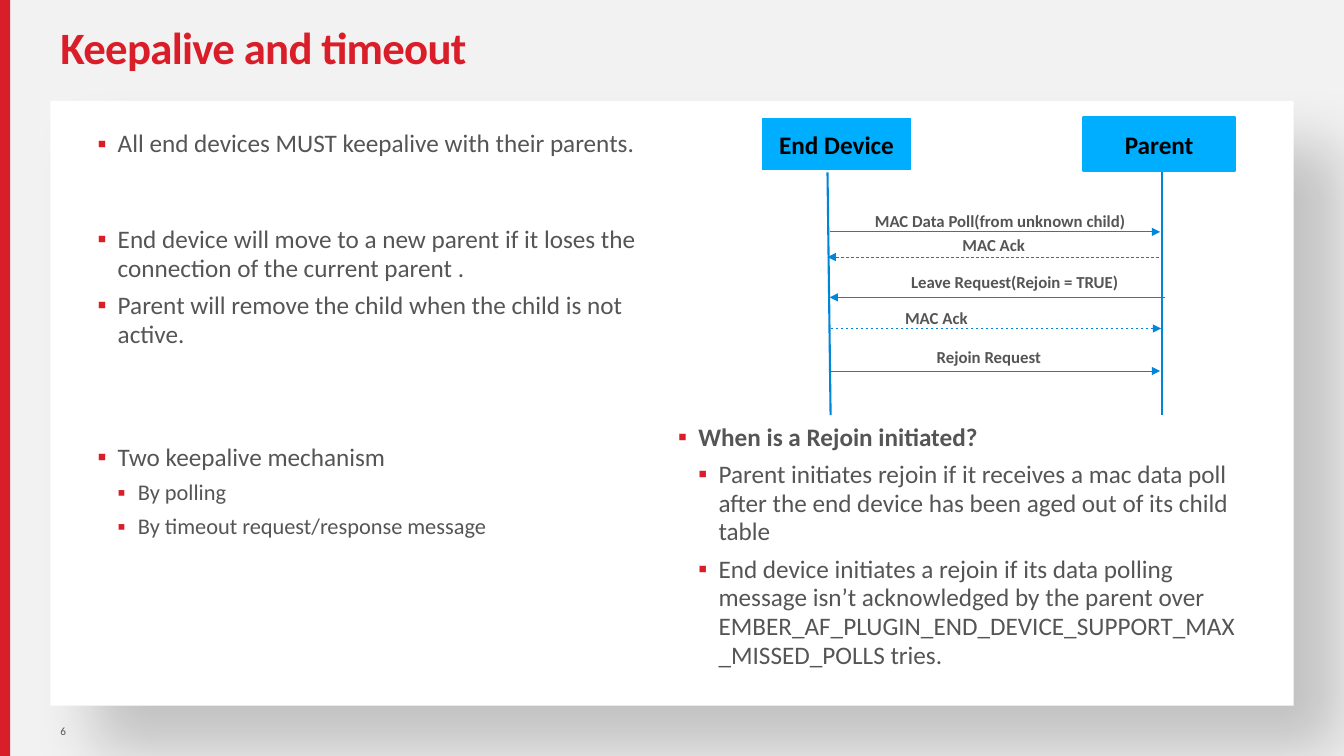
from dataclasses import dataclass

from lxml import etree
from pptx import Presentation
from pptx.dml.color import RGBColor
from pptx.enum import dml, shapes, text
from pptx.oxml import ns
from pptx.util import Pt

RED = RGBColor(0xD9, 0x1E, 0x2A)
GREY = RGBColor(0x55, 0x55, 0x55)
BLUE = RGBColor(0x00, 0x86, 0xD9)
SKY = RGBColor(0x00, 0xAE, 0xFF)
PALE = RGBColor(0xF2, 0xF2, 0xF2)
WHITE = RGBColor(0xFF, 0xFF, 0xFF)
BLACK = RGBColor(0x00, 0x00, 0x00)
FONT = "Calibri"


@dataclass
class Bullet:
    words: str
    level: int = 1
    size: float = 18
    bold: bool = False


@dataclass
class BulletBox:
    left: float
    top: float
    height: float
    bullets: list[Bullet]


@dataclass
class Actor:
    name: str
    left: float
    outline: RGBColor
    life_top_x: float
    life_end_x: float


@dataclass
class Message:
    label: str
    label_left: float
    label_top: float
    label_width: float
    start_x: float
    end_x: float
    y: float
    dashed: bool = False


BULLET_BOXES = [
    BulletBox(48.24, 89.3, 33, [
        Bullet("All end devices MUST keepalive with their parents."),
    ]),
    BulletBox(48.24, 157.7, 113, [
        Bullet("End device will move to a new parent if it loses the connection "
               "of the current parent ."),
        Bullet("Parent will remove the child when the child is not active."),
    ]),
    BulletBox(48.24, 313.2, 88.5, [
        Bullet("Two keepalive mechanism"),
        Bullet("By polling", 2, 16),
        Bullet("By timeout request/response message", 2, 16),
    ]),
    BulletBox(463, 298.8, 190.8, [
        Bullet("When is a Rejoin initiated?", bold=True),
        Bullet("Parent initiates rejoin if it receives a mac data poll after the "
               "end device has been aged out of its child table", 2),
        Bullet("End device initiates a rejoin if its data polling message isn’t "
               "acknowledged by the parent over "
               "EMBER_AF_PLUGIN_END_DEVICE_SUPPORT_MAX_MISSED_POLLS tries.", 2),
    ]),
]
ACTORS = [
    Actor("End Device", 543.6, WHITE, 591.1, 593.3),
    Actor("Parent", 774, SKY, 830.2, 830.2),
]
MESSAGES = [
    Message("MAC Data Poll(from unknown child)", 617.8, 146.9, 195.8, 592.6, 828.7, 165.6),
    Message("MAC Ack", 680.4, 164.2, 62.6, 828, 591.1, 183.6, True),
    Message("Leave Request(Rejoin = TRUE)", 643.7, 190.8, 164.9, 832.3, 592.6, 212.4),
    Message("MAC Ack", 639.4, 216, 62.6, 593.3, 829.4, 234.7, True),
    Message("Rejoin Request", 662, 244.1, 89, 592.6, 828.7, 265),
]


def add_run(p, words: str, size: float, color: RGBColor, bold: bool = False):
    r = p.add_run()
    r.text = words
    r.font.name = FONT
    r.font.size = Pt(size)
    r.font.bold = bold
    r.font.color.rgb = color
    return r


def add_box(s, left: float, top: float, width: float, height: float,
            wrap: bool = True, middle: bool = False):
    """Add an empty text box and return its text frame."""
    tf = s.shapes.add_textbox(Pt(left), Pt(top), Pt(width), Pt(height)).text_frame
    tf.word_wrap = wrap
    if middle:
        tf.vertical_anchor = text.MSO_ANCHOR.MIDDLE
    return tf


def add_rect(s, left: float, top: float, width: float, height: float, fill: RGBColor):
    sp = s.shapes.add_shape(shapes.MSO_SHAPE.RECTANGLE,
                            Pt(left), Pt(top), Pt(width), Pt(height))
    sp.shadow.inherit = False
    sp.fill.solid()
    sp.fill.fore_color.rgb = fill
    sp.line.fill.background()
    return sp


def add_soft_shadow(sp) -> None:
    effects = sp._element.spPr.find(ns.qn("a:effectLst"))
    shadow = etree.SubElement(effects, ns.qn("a:outerShdw"), blurRad=str(Pt(45)),
                              dist=str(Pt(45)), dir="2700000", algn="tl",
                              rotWithShape="0")
    color = etree.SubElement(shadow, ns.qn("a:srgbClr"), val=str(BLACK))
    etree.SubElement(color, ns.qn("a:alpha"), val="20000")


def add_line(s, x1: float, y1: float, x2: float, y2: float, width: float,
             dashed: bool = False, arrow: bool = False) -> None:
    line = s.shapes.add_connector(shapes.MSO_CONNECTOR.STRAIGHT,
                                  Pt(x1), Pt(y1), Pt(x2), Pt(y2))
    line.line.color.rgb = BLUE
    line.line.width = Pt(width)
    if dashed:
        line.line.dash_style = dml.MSO_LINE.DASH
    if arrow:
        etree.SubElement(line.line._get_or_add_ln(), ns.qn("a:tailEnd"), type="triangle")
    etree.SubElement(line._element.spPr, ns.qn("a:effectLst"))


def add_bullets(s, box: BulletBox) -> None:
    tf = add_box(s, box.left, box.top, 434.9, box.height)
    for i, bullet in enumerate(box.bullets):
        p = tf.add_paragraph() if i else tf.paragraphs[0]
        p.level = bullet.level
        p.line_spacing = 0.95
        p.space_before = Pt(6)
        pPr = p._p.get_or_add_pPr()
        pPr.set("marL", str(Pt(14.4 * (bullet.level + 1))))
        pPr.set("indent", str(Pt(-14.4)))
        color = etree.SubElement(pPr, ns.qn("a:buClr"))
        etree.SubElement(color, ns.qn("a:srgbClr"), val=str(RED))
        etree.SubElement(pPr, ns.qn("a:buFont"), typeface=FONT)
        etree.SubElement(pPr, ns.qn("a:buChar"), char="▪")
        add_run(p, bullet.words, bullet.size, GREY, bullet.bold)


def add_actor(s, actor: Actor) -> None:
    """Add an actor's box with its lifeline."""
    sp = add_rect(s, actor.left, 83.5, 108, 38.9, SKY)
    sp.line.color.rgb = actor.outline
    sp.line.width = Pt(1.5)
    tf = sp.text_frame
    tf.vertical_anchor = text.MSO_ANCHOR.MIDDLE
    tf.paragraphs[0].alignment = text.PP_ALIGN.CENTER
    add_run(tf.paragraphs[0], actor.name, 18, BLACK, True)
    add_line(s, actor.life_top_x, 123.1, actor.life_end_x, 296.6, 1.5)


def add_message(s, m: Message) -> None:
    add_line(s, m.start_x, m.y, m.end_x, m.y, 0.5, m.dashed, arrow=True)
    tf = add_box(s, m.label_left, m.label_top, m.label_width, 21.6, wrap=False)
    add_run(tf.paragraphs[0], m.label, 12, GREY, True)


def main() -> None:
    prs = Presentation()
    prs.slide_width, prs.slide_height = Pt(960), Pt(540)
    s = prs.slides.add_slide(prs.slide_layouts[6])
    s.background.fill.solid()
    s.background.fill.fore_color.rgb = PALE

    add_rect(s, 0, 0, 7.2, 540, RED)
    add_soft_shadow(add_rect(s, 36, 72, 888, 432, WHITE))

    title = add_box(s, 36, 0, 888, 72, middle=True).paragraphs[0]
    title.line_spacing = 0.9
    r = add_run(title, "Keepalive and timeout", 32, RED, True)
    r.font._element.set("spc", "-50")

    number = add_box(s, 36, 504, 25.2, 36, middle=True)
    number.margin_right = 0
    add_run(number.paragraphs[0], "6", 8, GREY)

    for box in BULLET_BOXES:
        add_bullets(s, box)
    for actor in ACTORS:
        add_actor(s, actor)
    for message in MESSAGES:
        add_message(s, message)
    prs.save("out.pptx")


if __name__ == "__main__":
    main()
